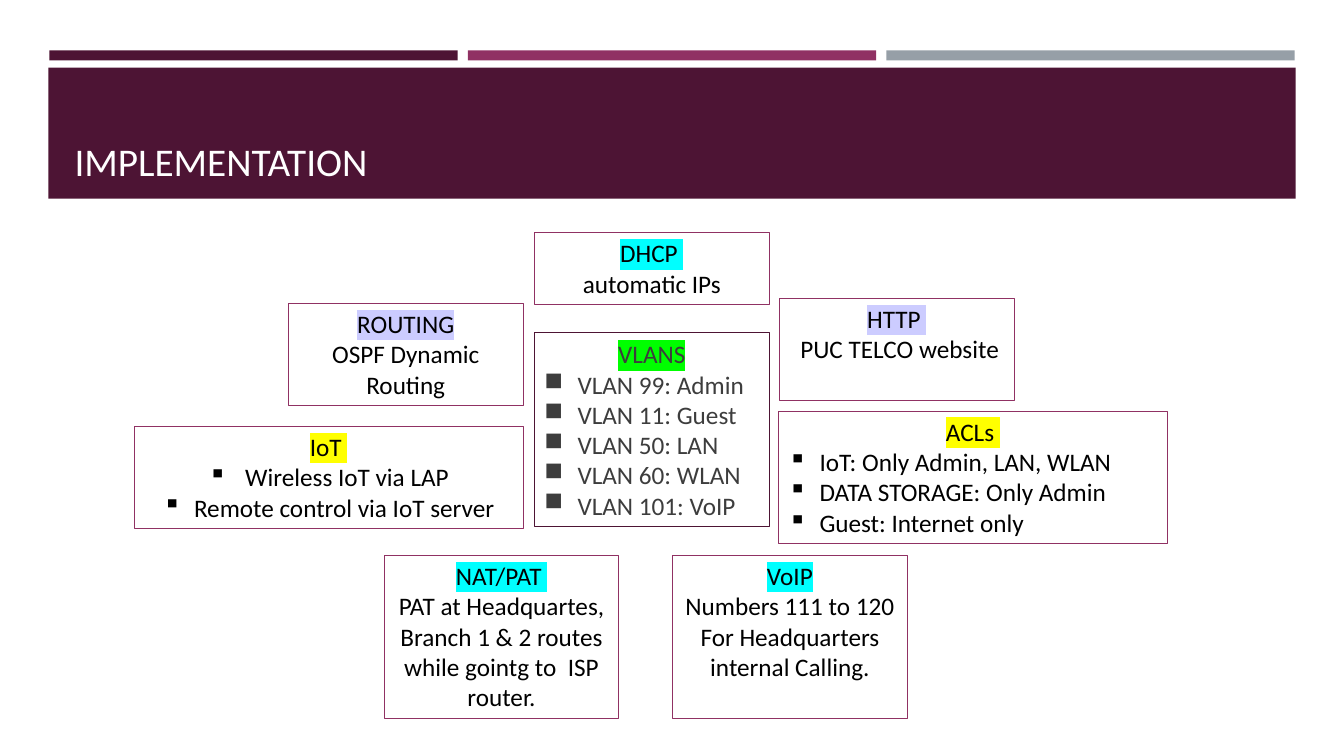
import pptx
import pptx.dml.color
import pptx.enum.shapes
import pptx.enum.text
import pptx.oxml
import pptx.oxml.ns
import pptx.presentation
import pptx.shapes.autoshape
import pptx.slide
import pptx.text.text
import pptx.util
from dataclasses import dataclass

Inches = pptx.util.Inches
Align = pptx.enum.text.PP_ALIGN
Anchor = pptx.enum.text.MSO_ANCHOR

FONT = "Calibri"
COLOURS = {
    "plum": "4D1434", "berry": "903163", "grey": "969FA7", "white": "FFFFFF",
    "black": "000000", "charcoal": "3D3D3D",
    "cyan": "00FFFF", "lilac": "CCCCFF", "green": "00FF00", "yellow": "FFFF00",
}


@dataclass
class Band:
    left: float
    top: float
    width: float
    height: float
    colour: str


@dataclass
class Topic:
    left: float
    top: float
    width: float
    height: float
    heading: str
    highlight: str
    lines: list[str]
    align: Align = Align.CENTER
    bullet: str = ""
    indent: float = 0.31
    line_colour: str = "berry"
    text_colour: str = "black"
    anchor: Anchor = Anchor.TOP


NARROW, WIDE = 2.33, 3.86

BANDS = [Band(0.49 + 4.15 * index, 0.5, 4.05, 0.1, colour)
         for index, colour in enumerate(("plum", "berry", "grey"))]
BANDS.append(Band(0.48, 0.67, 12.37, 1.3, "plum"))

TOPICS = [
    Topic(5.3, 3.35, NARROW, 1.82, "VLANS", "green",
          ["VLAN 99: Admin", "VLAN 11: Guest", "VLAN 50: LAN",
           "VLAN 60: WLAN", "VLAN 101: VoIP"],
          Align.JUSTIFY, "■", 0.33, "plum", "charcoal", Anchor.MIDDLE),
    Topic(7.72, 4.08, WIDE, 1.31, "ACLs ", "yellow",
          ["IoT: Only Admin, LAN, WLAN", "DATA STORAGE: Only Admin",
           "Guest: Internet only"], Align.JUSTIFY, "▪"),
    Topic(2.86, 3.01, NARROW, 1.01, "ROUTING", "lilac", ["OSPF Dynamic Routing"]),
    Topic(7.73, 2.96, NARROW, 1.01, "HTTP ", "lilac", [" PUC TELCO website"]),
    Topic(5.3, 2.31, NARROW, 0.71, "DHCP ", "cyan", ["automatic IPs"]),
    Topic(3.81, 5.51, NARROW, 1.62, "NAT/PAT ", "cyan",
          ["PAT at Headquartes, Branch 1 & 2 routes while gointg to  ISP router."]),
    Topic(6.67, 5.51, NARROW, 1.62, "VoIP", "cyan",
          ["Numbers 111 to 120", "For Headquarters internal Calling."]),
    Topic(1.33, 4.23, WIDE, 1.01, "IoT ", "yellow",
          [" Wireless IoT via LAP", "Remote control via IoT server"],
          bullet="▪"),
]
# The VLAN list fills its box from edge to edge
TOPICS[0].top, TOPICS[0].height = 3.3, 1.92


def rgb(name: str) -> pptx.dml.color.RGBColor:
    return pptx.dml.color.RGBColor.from_string(COLOURS[name])


def style(para: pptx.text.text._Paragraph, size: int, colour: str) -> None:
    para.font.name = FONT
    para.font.size = pptx.util.Pt(size)
    para.font.color.rgb = rgb(colour)


def add_highlight(span: pptx.text.text._Run, colour: str) -> None:
    properties = span._r.get_or_add_rPr()
    mark = pptx.oxml.parse_xml(
        f'<a:highlight {pptx.oxml.ns.nsdecls("a")}>'
        f'<a:srgbClr val="{COLOURS[colour]}"/></a:highlight>')
    properties.append(mark)


def add_bullet(para: pptx.text.text._Paragraph, symbol: str, indent: float) -> None:
    properties = para._p.get_or_add_pPr()
    properties.set("marL", str(Inches(indent)))
    properties.set("indent", str(-Inches(indent)))
    properties.append(pptx.oxml.parse_xml(
        f'<a:buChar {pptx.oxml.ns.nsdecls("a")} char="{symbol}"/>'))


def add_rectangle(page: pptx.slide.Slide,
                  item: Band | Topic) -> pptx.shapes.autoshape.Shape:
    box = page.shapes.add_shape(
        pptx.enum.shapes.MSO_SHAPE.RECTANGLE, Inches(item.left), Inches(item.top),
        Inches(item.width), Inches(item.height))
    box.shadow.inherit = False
    return box


def add_band(page: pptx.slide.Slide, band: Band) -> None:
    box = add_rectangle(page, band)
    box.fill.solid()
    box.fill.fore_color.rgb = rgb(band.colour)
    box.line.fill.background()


def add_topic(page: pptx.slide.Slide, topic: Topic) -> None:
    box = add_rectangle(page, topic)
    box.fill.background()
    box.line.color.rgb = rgb(topic.line_colour)
    box.line.width = pptx.util.Pt(0.75)
    frame = box.text_frame
    frame.word_wrap = True
    frame.vertical_anchor = topic.anchor

    # Highlighted heading
    para = frame.paragraphs[0]
    para.alignment = Align.CENTER
    style(para, 18, topic.text_colour)
    span = para.add_run()
    span.text = topic.heading
    add_highlight(span, topic.highlight)

    # Details
    for line in topic.lines:
        para = frame.add_paragraph()
        para.alignment = topic.align
        if topic.bullet:
            add_bullet(para, topic.bullet, topic.indent)
        style(para, 18, topic.text_colour)
        para.add_run().text = line


def set_title(page: pptx.slide.Slide, text: str) -> None:
    title = page.shapes.title
    title.left, title.top = Inches(0.64), Inches(0.77)
    title.width, title.height = Inches(12.06), Inches(1.11)
    frame = title.text_frame
    frame.text = text
    frame.auto_size = pptx.enum.text.MSO_AUTO_SIZE.NONE
    frame.vertical_anchor = Anchor.BOTTOM
    para = frame.paragraphs[0]
    para.alignment = Align.LEFT
    style(para, 28, "white")
    # Bring the title in front of its band
    page.shapes._spTree.append(title._element)


def main() -> None:
    deck = pptx.Presentation()
    deck.slide_width, deck.slide_height = Inches(13.33), Inches(7.5)
    page = deck.slides.add_slide(deck.slide_layouts[5])
    for band in BANDS:
        add_band(page, band)
    set_title(page, "IMPLEMENTATION")
    for topic in TOPICS:
        add_topic(page, topic)
    deck.save("out.pptx")


if __name__ == "__main__":
    main()
